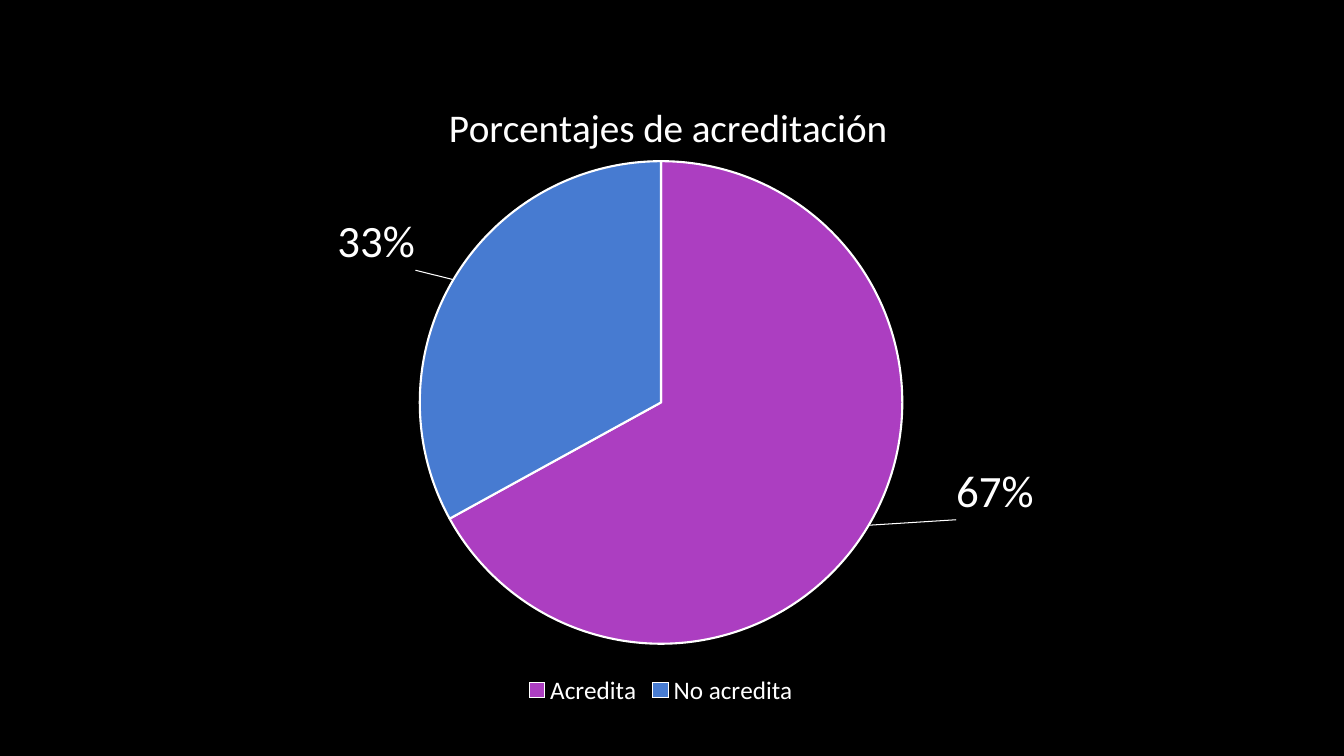
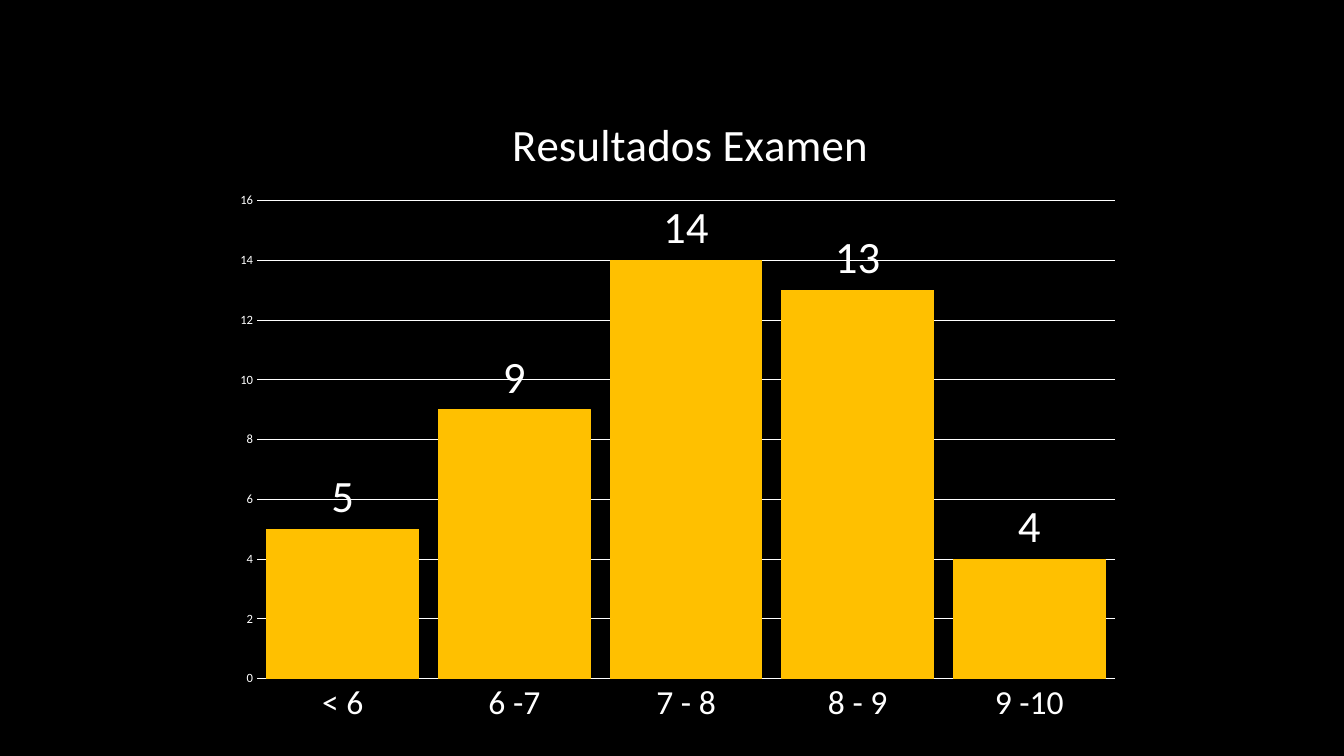
from lxml import etree
from pptx import Presentation
from pptx.chart.data import CategoryChartData
from pptx.dml.color import RGBColor
from pptx.enum import chart as ch
from pptx.oxml import parse_xml
from pptx.oxml.ns import qn
from pptx.util import Cm, Pt

FONT = "Calibri"
BLACK, WHITE = "000000", "FFFFFF"
PURPLE, BLUE, AMBER = "AC3EC1", "477BD1", "FFC000"
NAMESPACES = ('xmlns:c="http://schemas.openxmlformats.org/drawingml/2006/chart" '
              'xmlns:a="http://schemas.openxmlformats.org/drawingml/2006/main"')


def paint(target, color, size=None):
    """Colour a font (with its size in points), a fill or a line."""
    if hasattr(target, "solid"):
        target.solid()
        target.fore_color.rgb = RGBColor.from_string(color)
    else:
        target.color.rgb = RGBColor.from_string(color)
        if size and hasattr(target, "name"):
            target.name, target.size, target.bold = FONT, Pt(size), False
        elif size:
            target.width = Pt(size)


def place(parent, index, **fractions):
    """Give a chart part a manual layout, in fractions of the chart."""
    for old in parent.findall(qn("c:layout")):
        parent.remove(old)
    layout = parse_xml(f"<c:layout {NAMESPACES}><c:manualLayout/></c:layout>")
    for tag, value in fractions.items():
        etree.SubElement(layout[0], qn(f"c:{tag}")).set("val", str(value))
    parent.insert(index, layout)


prs = Presentation()
prs.slide_width, prs.slide_height = Cm(33.87), Cm(19.05)
paint(prs.slide_master.background.fill, BLACK)

# What the two charts share: frame, title, transparent ground, plot area
CHARTS = [
    dict(kind=ch.XL_CHART_TYPE.PIE, box=(2.84, 1.73, 27.64, 16.18),
         title="Porcentajes de acreditación", title_size=28, title_at=(0.3, 0.04),
         values={"Acredita": 67, "No acredita": 33}, plot=(0.28, 0.14, 0.44, 0.76)),
    dict(kind=ch.XL_CHART_TYPE.COLUMN_CLUSTERED, box=(5.28, 1.8, 23.95, 16.71),
         title="Resultados Examen", title_size=32, title_at=(0.31, 0.05),
         values={"< 6": 5, "6 -7": 9, "7 - 8": 14, "8 - 9": 13, "9 -10": 4},
         plot=(0.05, 0.195, 0.903, 0.721)),
]
charts = []
for setup in CHARTS:
    slide = prs.slides.add_slide(prs.slide_layouts[6])
    data = CategoryChartData()
    data.categories = list(setup["values"])
    data.add_series("Series 1", list(setup["values"].values()))
    frame = slide.shapes.add_chart(setup["kind"], *map(Cm, setup["box"]), data)
    chart = frame.chart
    charts.append(chart)
    paint(chart.font, WHITE, 10)

    chart.has_title = True
    heading = chart.chart_title.text_frame.paragraphs[0].add_run()
    heading.text = setup["title"]
    paint(heading.font, WHITE, setup["title_size"])
    left, top = setup["title_at"]
    place(chart.chart_title._element, 1, xMode="edge", yMode="edge", x=left, y=top)

    space = chart._chartSpace
    plot_area = space.find(".//" + qn("c:plotArea"))
    left, top, width, height = setup["plot"]
    place(plot_area, 0, layoutTarget="inner", xMode="edge", yMode="edge",
          x=left, y=top, w=width, h=height)
    clear = f"<c:spPr {NAMESPACES}><a:noFill/><a:ln><a:noFill/></a:ln></c:spPr>"
    space.find(qn("c:txPr")).addprevious(parse_xml(clear))
    plot_area.append(parse_xml(clear))

    labels = chart.plots[0].series[0].data_labels
    labels.position = ch.XL_LABEL_POSITION.OUTSIDE_END
    paint(labels.font, WHITE, 32)

pie, columns = charts

# Pass rate: labels pulled away from the slices, with leader lines
pie.plots[0].vary_by_categories = True
pie.has_legend = True
pie.legend.position = ch.XL_LEGEND_POSITION.BOTTOM
pie.legend.include_in_layout = False
paint(pie.legend.font, WHITE, 18)

rates = pie.plots[0].series[0]
percents = rates.data_labels
percents.show_value, percents.show_percentage = False, True
percents.number_format, percents.number_format_is_linked = "0%", False
percents._element.append(parse_xml(
    f'<c:leaderLines {NAMESPACES}><c:spPr><a:ln w="9525"><a:solidFill>'
    f'<a:srgbClr val="{WHITE}"/></a:solidFill></a:ln></c:spPr></c:leaderLines>'))

for index, (color, shift) in enumerate([(PURPLE, (0.075, -0.1)), (BLUE, (-0.03, -0.01))]):
    point = rates.points[index]
    paint(point.format.fill, color)
    paint(point.format.line, WHITE, 1.5)
    point.data_label.position = ch.XL_LABEL_POSITION.OUTSIDE_END
    paint(point.data_label.font, WHITE, 32)
    label = percents._element.findall(qn("c:dLbl"))[index]
    label.find(qn("c:showVal")).set("val", "0")
    label.find(qn("c:showPercent")).set("val", "1")
    place(label, 1, x=shift[0], y=shift[1])

# Exam results
columns.has_legend = False
bars = columns.plots[0]
bars.vary_by_categories = False
bars.gap_width, bars.overlap = 13, -7
paint(bars.series[0].format.fill, AMBER)
paint(bars.series[0].format.line, AMBER, 0.75)
bars.series[0].data_labels.show_value = True

grades, counts = columns.category_axis, columns.value_axis
for axis, size in ((grades, 24), (counts, 9)):
    axis.major_tick_mark = axis.minor_tick_mark = ch.XL_TICK_MARK.NONE
    paint(axis.tick_labels.font, WHITE, size)
paint(grades.format.line, WHITE, 0.75)
counts.format.line.fill.background()
counts.minimum_scale, counts.maximum_scale, counts.major_unit = 0, 16, 2
counts.has_major_gridlines = True
paint(counts.major_gridlines.format.line, WHITE, 0.75)

prs.save("out.pptx")
